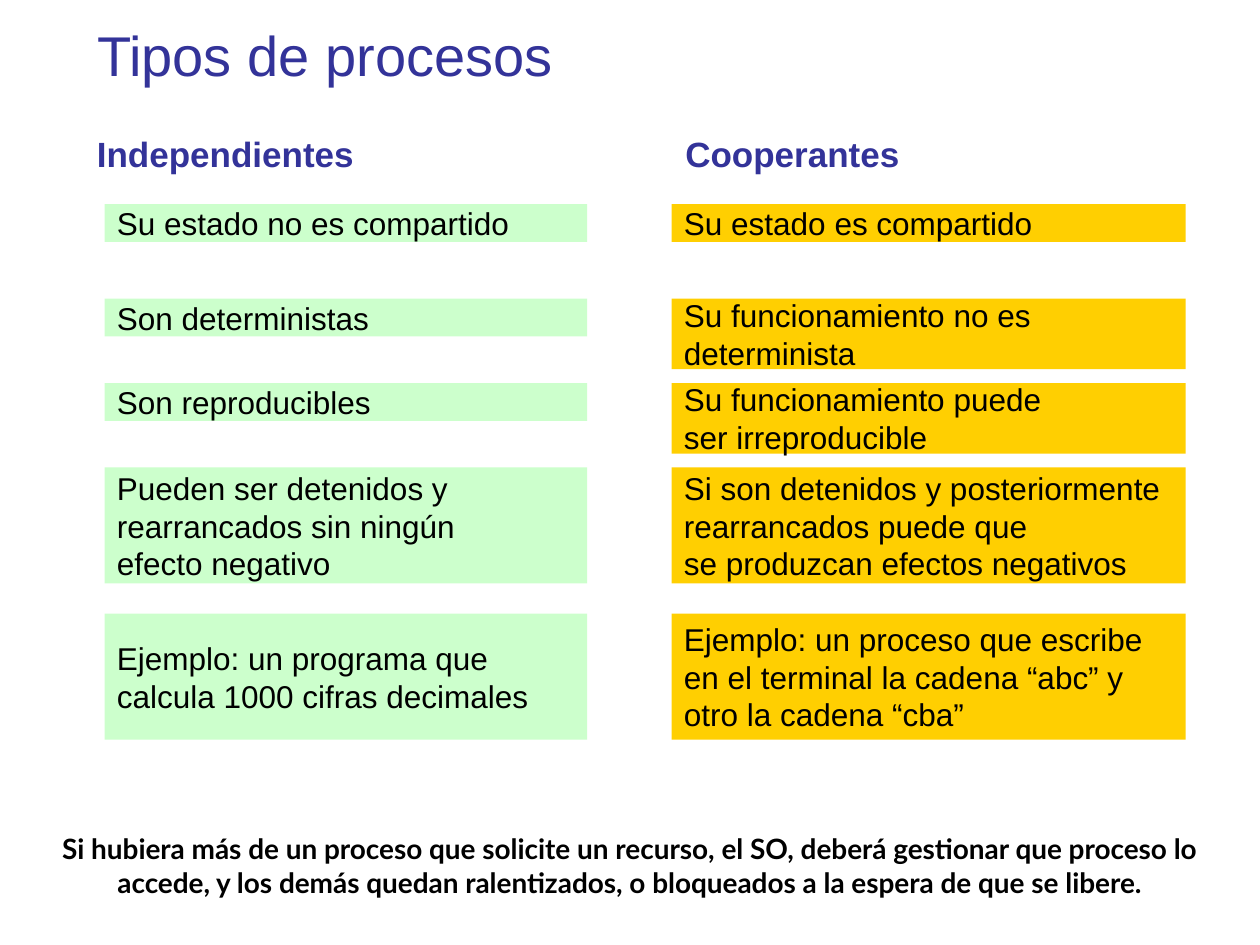
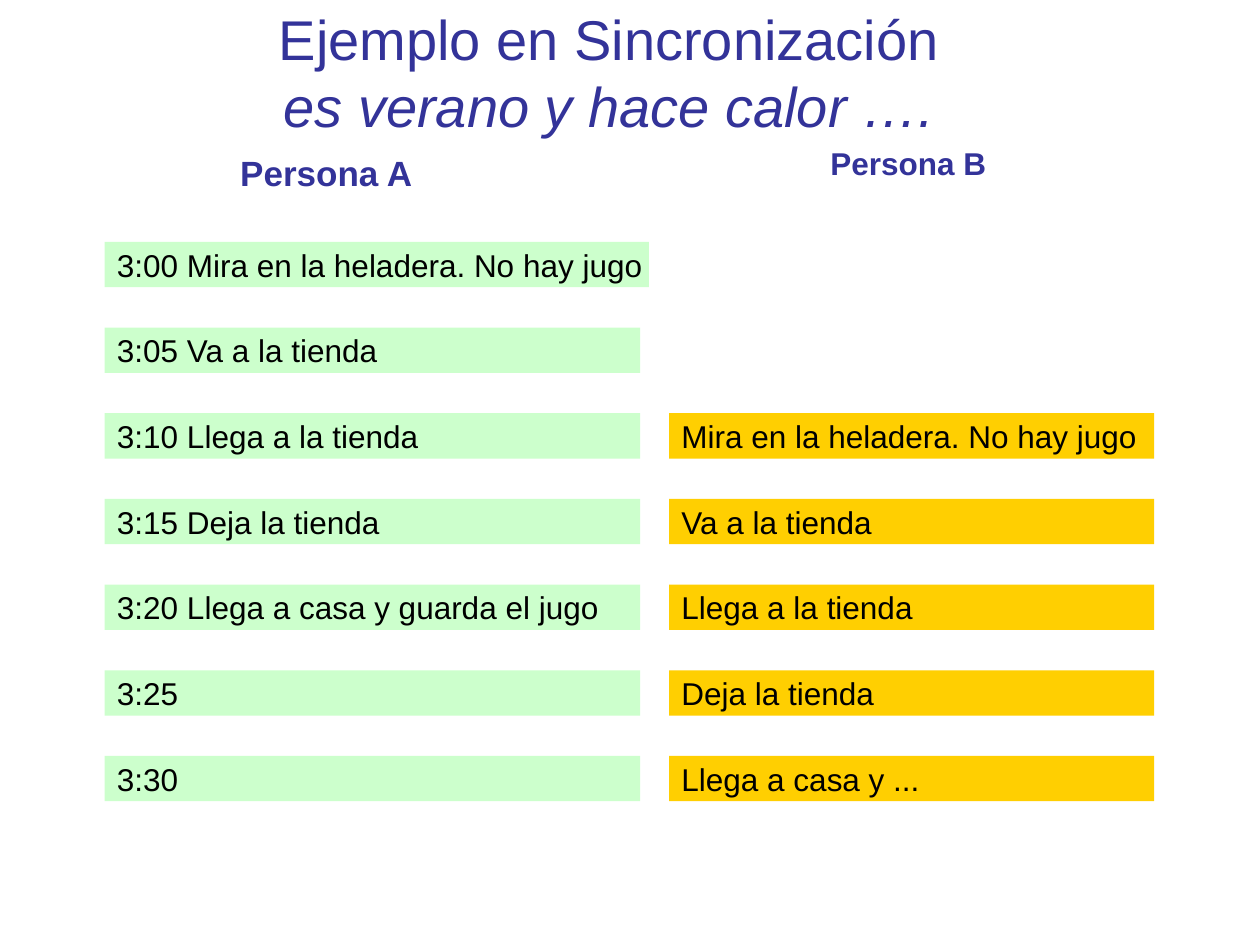
from copy import deepcopy

from pptx import Presentation
from pptx.dml.color import RGBColor
from pptx.enum import shapes, text
from pptx.util import Inches, Pt

COLORS = {"heading": "333399", "ink": "000000", "left": "CCFFCC", "right": "FFCF01"}
SLIDE_WIDTH, SLIDE_HEIGHT = 10, 7.5
INSET = 0.1
TITLE_LEFT, TITLE_TOP, TITLE_WIDTH = 0.67, 0.08, 8.33
HEADING_WIDTH = 4.49
LEFT_COLUMN = 0.83
LINE_HEIGHTS = {1: 0.3, 2: 0.56, 3: 0.92}

TYPES_TITLE = [("Tipos de procesos", False)]
TYPES_HEADINGS = ["Independientes", "Cooperantes"]
# Top of each row, then the lines of its two boxes
TYPES_ROWS = [
    (1.62, ["Su estado no es compartido"], ["Su estado es compartido"]),
    (2.37, ["Son deterministas"], ["Su funcionamiento no es", "determinista"]),
    (3.04, ["Son reproducibles"], ["Su funcionamiento puede", "ser irreproducible"]),
    (3.71, ["Pueden ser detenidos y", "rearrancados sin ningún", "efecto negativo"],
     ["Si son detenidos y posteriormente", "rearrancados puede que",
      "se produzcan efectos negativos"]),
]
EXAMPLE_TOP, EXAMPLE_HEIGHT = 4.87, 1
EXAMPLES = (
    ["Ejemplo: un programa que", "calcula 1000 cifras decimales"],
    ["Ejemplo: un proceso que escribe", "en el terminal la cadena “abc” y",
     "otro la cadena “cba”"],
)
TYPES_COLUMNS = [(LEFT_COLUMN, 3.83, "left"), (5.33, 4.08, "right")]
NOTE = ("Si hubiera más de un proceso que solicite un recurso, el SO, deberá gestionar "
        "que proceso lo accede, y los demás quedan ralentizados, o bloqueados a la "
        "espera de que se libere.")

SYNC_TITLE = [("Ejemplo en Sincronización", False), ("es verano y hace calor ….", True)]
PERSON_A = [
    "3:00 Mira en la heladera. No hay jugo",
    "3:05 Va a la tienda",
    "3:10 Llega a la tienda",
    "3:15 Deja la tienda",
    "3:20 Llega a casa y guarda el jugo",
    "3:25",
    "3:30",
]
PERSON_B = [
    "Mira en la heladera. No hay jugo",
    "Va a la tienda",
    "Llega a la tienda",
    "Deja la tienda",
    "Llega a casa y ...",
]
TIMELINE_TOP, TIMELINE_STEP, TIMELINE_HEIGHT = 1.92, 0.68, 0.36


def format_run(run, size=18, color="ink", font="Arial", bold=False, italic=False):
    run.font.name = font
    run.font.size = Pt(size)
    run.font.bold = bold
    run.font.italic = italic
    run.font.color.rgb = RGBColor.from_string(COLORS[color])


def write(shape, lines, align=text.PP_ALIGN.LEFT, anchor=text.MSO_ANCHOR.TOP,
          wrap=True, right_inset=INSET, spacing=None, **font):
    """Fill a shape with one paragraph per line."""
    frame = shape.text_frame
    frame.word_wrap = wrap
    frame.vertical_anchor = anchor
    frame.margin_left, frame.margin_right = Inches(INSET), Inches(right_inset)
    frame.margin_top = frame.margin_bottom = Inches(INSET / 2)
    for index, line in enumerate(lines):
        paragraph = frame.add_paragraph() if index else frame.paragraphs[0]
        paragraph.alignment = align
        if spacing:
            paragraph.line_spacing = spacing
        run = paragraph.add_run()
        run.text = line
        format_run(run, **font)


def add_text(slide, lines, left, top, width, height, **style):
    box = slide.shapes.add_textbox(*map(Inches, (left, top, width, height)))
    write(box, lines, **style)


def add_box(slide, lines, left, top, width, height, fill):
    box = slide.shapes.add_shape(
        shapes.MSO_SHAPE.RECTANGLE, *map(Inches, (left, top, width, height)))
    box.shadow.inherit = False
    box.fill.solid()
    box.fill.fore_color.rgb = RGBColor.from_string(COLORS[fill])
    box.line.fill.background()
    write(box, lines, anchor=text.MSO_ANCHOR.MIDDLE, wrap=False)


def add_titled_slide(presentation, title_lines, height, align):
    """Add a slide whose title lines are (wording, italic) pairs."""
    slide = presentation.slides.add_slide(presentation.slide_layouts[5])
    title = slide.shapes.title
    title.left, title.top = Inches(TITLE_LEFT), Inches(TITLE_TOP)
    title.width, title.height = Inches(TITLE_WIDTH), Inches(height)
    title.text_frame.auto_size = text.MSO_AUTO_SIZE.NONE
    style = dict(size=32, color="heading")
    (first, italic), *others = title_lines
    write(title, [first], align=align, anchor=text.MSO_ANCHOR.BOTTOM, italic=italic, **style)
    paragraph = title.text_frame.paragraphs[0]
    for line, italic in others:
        paragraph.add_line_break()
        line_break = paragraph._p[-1]
        line_break.append(deepcopy(paragraph.runs[-1].font._rPr))
        run = paragraph.add_run()
        run.text = line
        format_run(run, italic=italic, **style)
    return slide


def build_types(presentation):
    slide = add_titled_slide(presentation, TYPES_TITLE, 0.67, text.PP_ALIGN.LEFT)
    for heading, left in zip(TYPES_HEADINGS, (TITLE_LEFT, 5.34)):
        add_text(slide, [heading], left, 1, HEADING_WIDTH, 0.58,
                 size=20, color="heading", bold=True)
    for top, *cells in TYPES_ROWS:
        for lines, (left, width, fill) in zip(cells, TYPES_COLUMNS):
            add_box(slide, lines, left, top, width, LINE_HEIGHTS[len(lines)], fill)
    for lines, (left, width, fill) in zip(EXAMPLES, TYPES_COLUMNS):
        add_box(slide, lines, left, EXAMPLE_TOP, width, EXAMPLE_HEIGHT, fill)
    add_text(slide, [NOTE], 0, 6.42, SLIDE_WIDTH, 0.9, align=text.PP_ALIGN.CENTER,
             anchor=text.MSO_ANCHOR.MIDDLE, size=16, font="Lato", bold=True)


def build_sync(presentation):
    slide = add_titled_slide(presentation, SYNC_TITLE, 1.07, text.PP_ALIGN.CENTER)
    headings = [
        ("Persona A", TITLE_LEFT, dict(size=20, right_inset=0.75)),
        ("Persona B", 5.35, dict(size=18, right_inset=0.87, spacing=0.8)),
    ]
    for heading, left, style in headings:
        add_text(slide, [heading], left, 1.15, HEADING_WIDTH, 0.65,
                 align=text.PP_ALIGN.CENTER, color="heading", bold=True, **style)
    first_row_b = len(PERSON_A) - len(PERSON_B)
    columns = [(PERSON_A, 0, LEFT_COLUMN, 4.25, "left"),
               (PERSON_B, first_row_b, 5.31, 3.85, "right")]
    for events, first_row, left, column_width, fill in columns:
        for row, event in enumerate(events, first_row):
            width = column_width if row else 4.32
            add_box(slide, [event], left, TIMELINE_TOP + row * TIMELINE_STEP,
                    width, TIMELINE_HEIGHT, fill)


def main():
    presentation = Presentation()
    presentation.slide_width = Inches(SLIDE_WIDTH)
    presentation.slide_height = Inches(SLIDE_HEIGHT)
    build_types(presentation)
    build_sync(presentation)
    presentation.save("out.pptx")


if __name__ == "__main__":
    main()
